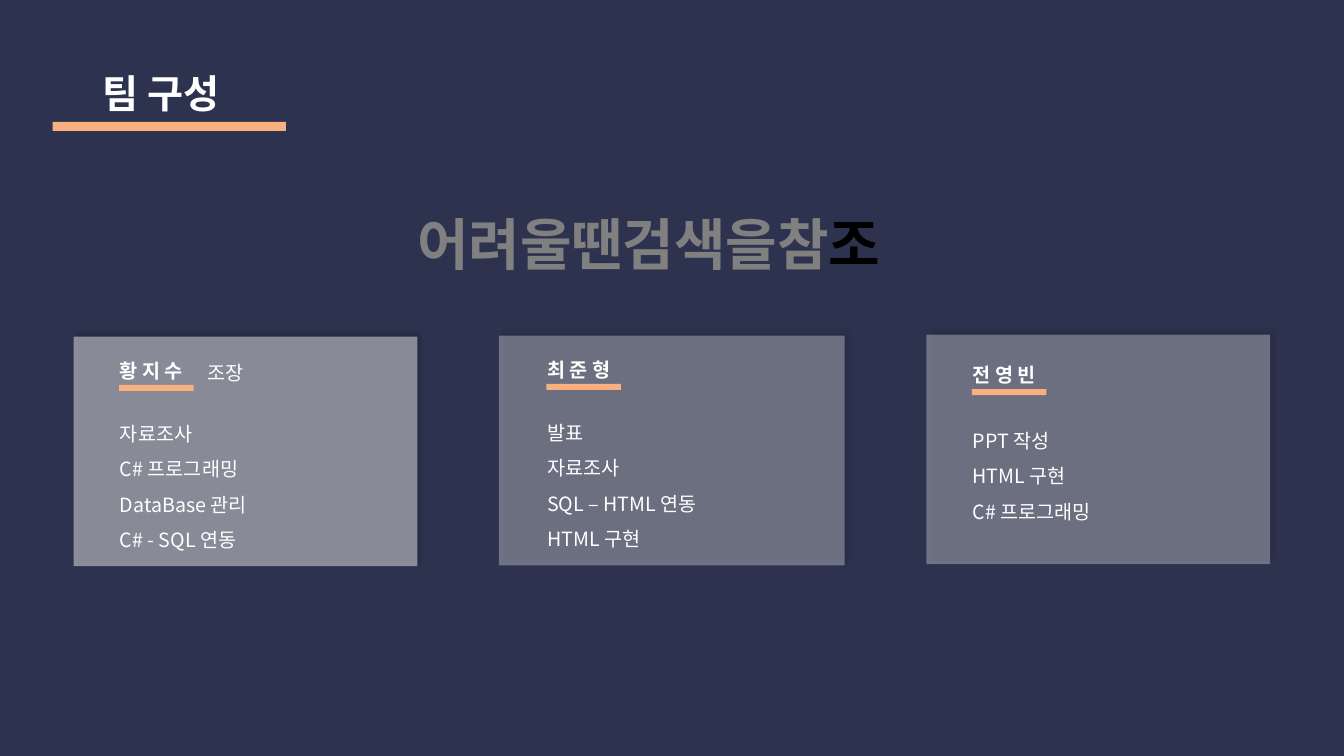
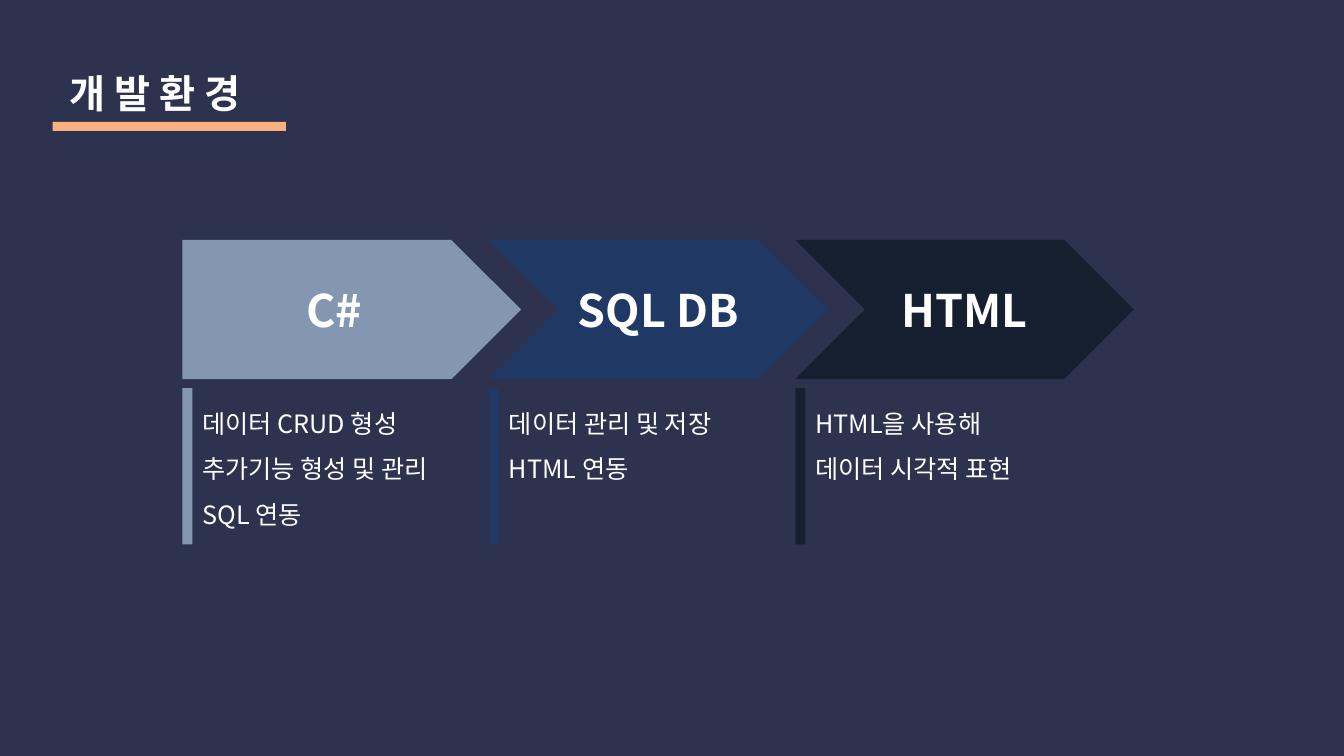
from dataclasses import dataclass

from pptx import Presentation
from pptx.dml.color import RGBColor
from pptx.enum.shapes import MSO_SHAPE as Preset
from pptx.enum.text import MSO_ANCHOR as Anchor, PP_ALIGN as Align
from pptx.oxml.xmlchemy import OxmlElement
from pptx.shapes.autoshape import Shape
from pptx.slide import Slide
from pptx.text.text import _Paragraph as Paragraph
from pptx.util import Pt

FONT = "Noto Sans CJK KR"
NAVY, PEACH, WHITE, GREY, BLACK = "2D324F", "F8B07E", "FFFFFF", "808080", "000000"


@dataclass(frozen=True)
class Member:
    name: str
    tasks: tuple[str, ...]
    left: float
    top: float
    width: float = 245.5
    opacity: int = 32
    inset: float = 26
    name_drop: float = 12.2
    tasks_drop: float = 36.7  # from the name down to the tasks
    role: str = ""


@dataclass(frozen=True)
class Stage:
    tool: str
    uses: tuple[str, ...]
    color: str
    outline: Preset = Preset.CHEVRON


MEMBERS = (
    Member("황 지 수", ("자료조사", "C# 프로그래밍", "DataBase 관리", "C# - SQL 연동"),
           52.6, 240.5, opacity=46, role="조장"),
    Member("최 준 형", ("발표", "자료조사", "SQL – HTML 연동", "HTML 구현"),
           356.4, 239.8, width=247, inset=27.4),
    Member("전 영 빈", ("PPT 작성", "HTML 구현", "C# 프로그래밍"),
           661.7, 239, name_drop=16.6, tasks_drop=38.9),
)
STAGES = (
    Stage("C#", ("데이터 CRUD 형성", "추가기능 형성 및 관리", "SQL 연동"), "8497B0", Preset.PENTAGON),
    Stage("SQL DB", ("데이터 관리 및 저장", "HTML 연동"), "203864"),
    Stage("HTML", ("HTML을 사용해", "데이터 시각적 표현"), "161F30"),
)


def rgb(value: str) -> RGBColor:
    return RGBColor.from_string(value)


def add_child(parent, tag: str, **attributes):
    child = OxmlElement(tag)
    for key, value in attributes.items():
        child.set(key, str(value))
    parent.append(child)
    return child


def style(paragraph: Paragraph, size: float, bold: bool = False) -> None:
    font = paragraph.font
    font.name, font.size, font.bold = FONT, Pt(size), bold
    font.color.rgb = rgb(WHITE)
    # East Asian typeface for the Korean letters
    defaults = paragraph._p.get_or_add_pPr().get_or_add_defRPr()
    add_child(defaults, "a:ea", typeface=FONT)


def add_block(slide: Slide, left: float, top: float, width: float, height: float,
              color: str, preset: Preset = Preset.RECTANGLE) -> Shape:
    block = slide.shapes.add_shape(preset, Pt(left), Pt(top), Pt(width), Pt(height))
    block.shadow.inherit = False
    block.fill.solid()
    block.fill.fore_color.rgb = rgb(color)
    block.line.fill.background()
    return block


def add_lines(slide: Slide, left: float, top: float, width: float, height: float,
              lines: tuple[str, ...], size: float, bold: bool = False,
              spacing: float | None = None) -> Shape:
    box = slide.shapes.add_textbox(Pt(left), Pt(top), Pt(width), Pt(height))
    frame = box.text_frame
    frame.word_wrap = True
    frame.text = "\n".join(lines)
    for paragraph in frame.paragraphs:
        style(paragraph, size, bold)
        paragraph.line_spacing = spacing
    return box


def add_titled_slide(deck: Presentation, title: str, title_left: float) -> Slide:
    slide = deck.slides.add_slide(deck.slide_layouts[6])
    slide.background.fill.solid()
    slide.background.fill.fore_color.rgb = rgb(NAVY)
    add_lines(slide, title_left, 46, 160, 41, (title,), 28, bold=True)
    add_block(slide, 37.6, 87.1, 166.6, 6.4, PEACH)
    return slide


def make_glass(panel: Shape, opacity: int) -> None:
    properties = panel._element.spPr
    fill_color = properties.find(".//{*}solidFill/{*}srgbClr")
    add_child(fill_color, "a:alpha", val=opacity * 1000)
    shadow = add_child(properties.find("{*}effectLst"), "a:outerShdw", blurRad=Pt(4),
                       dist=Pt(3), dir=315 * 60000, algn="bl", rotWithShape=0)
    add_child(add_child(shadow, "a:srgbClr", val=BLACK), "a:alpha", val=40000)


def add_member(slide: Slide, member: Member) -> None:
    panel = add_block(slide, member.left, member.top, member.width, 164, WHITE)
    make_glass(panel, member.opacity)
    text_left, name_top = member.left + member.inset, member.top + member.name_drop
    add_lines(slide, text_left, name_top, 67, 24.5, (member.name,), 14, bold=True)
    add_block(slide, text_left + 6.5, name_top + 22.3, 53.3, 4.3, PEACH)
    if member.role:
        add_lines(slide, text_left + 62.6, name_top + 1.4, 56, 24.5, (member.role,), 14)
    add_lines(slide, text_left, name_top + member.tasks_drop, 219.6, 106,
              member.tasks, 14, spacing=1.5)


def add_stage(slide: Slide, stage: Stage, left: float) -> None:
    arrow = add_block(slide, left, 171.4, 241.9, 99.4, stage.color, stage.outline)
    frame = arrow.text_frame
    frame.text = stage.tool
    frame.vertical_anchor = Anchor.MIDDLE
    frame.paragraphs[0].alignment = Align.CENTER
    style(frame.paragraphs[0], 32, bold=True)
    add_block(slide, left, 277.2, 7.2, 111.6, stage.color)
    add_lines(slide, left + 7.2, 277.2, 204, 134, stage.uses, 18, spacing=1.5)


def main() -> None:
    deck = Presentation()
    deck.slide_width, deck.slide_height = Pt(960), Pt(540)

    # Team
    team = add_titled_slide(deck, "팀 구성", 66.3)
    motto = add_lines(team, 290.9, 146.2, 378, 55.4, ("어려울땐검색을참",), 40, bold=True)
    motto_line = motto.text_frame.paragraphs[0]
    motto_line.add_run().text = "조"
    for run, color in zip(motto_line.runs, (GREY, BLACK)):
        run.font.color.rgb = rgb(color)
    for member in MEMBERS:
        add_member(team, member)

    # Development environment
    environment = add_titled_slide(deck, "개 발 환 경", 42.5)
    for index, stage in enumerate(STAGES):
        add_stage(environment, stage, 130.3 + index * 218.9)

    deck.save("out.pptx")


if __name__ == "__main__":
    main()
